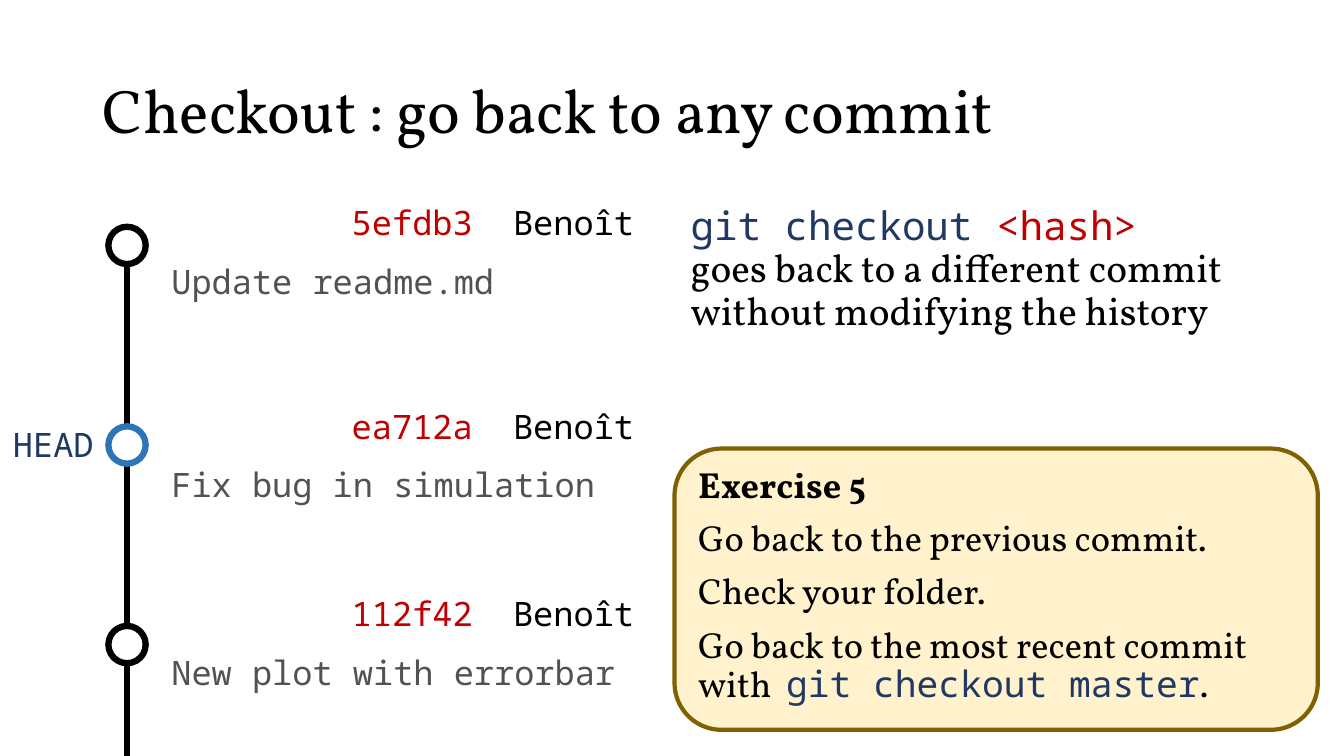
from pptx import Presentation
from pptx.dml.color import RGBColor
from pptx.enum import shapes as kinds, text as styles
from pptx.oxml.ns import qn
from pptx.util import Inches, Pt

COLORS = {
    "black": "000000", "navy": "203864", "red": "C00000", "gray": "525252",
    "blue": "2E75B6", "cream": "FFF2CC", "brown": "806000",
}
SERIF, MONO = "Vollkorn", "Noto Sans Mono"

AXIS, SIZE = 1.26, 0.37          # centre of the history line, width of a node
FIRST, STEP = 2.25, 1.98         # top of the first node, distance between nodes
COMMITS = [
    (2, "5efdb3", "Update readme.md", "black"),
    (4.02, "ea712a", "Fix bug in simulation", "blue"),
    (5.88, "112f42", "New plot with errorbar", "black"),
]


def rgb(name):
    return RGBColor.from_string(COLORS[name])


def place(shape, left, top, width, height):
    shape.left, shape.top = Inches(left), Inches(top)
    shape.width, shape.height = Inches(width), Inches(height)


def write(shape, paras, size=24, font=MONO, color="black", anchor="TOP", inset=0.1):
    """Fill a shape with paragraphs, each a list of (text, format changes) runs."""
    frame = shape.text_frame
    frame.word_wrap = True
    frame.auto_size = styles.MSO_AUTO_SIZE.NONE
    frame.vertical_anchor = styles.MSO_ANCHOR[anchor]
    frame.margin_left = frame.margin_right = Inches(inset)
    for i, runs in enumerate(paras):
        para = frame.add_paragraph() if i else frame.paragraphs[0]
        props = para._p.get_or_add_pPr()
        props.set("marL", "0")
        props.set("indent", "0")
        props.append(props.makeelement(qn("a:buNone"), {}))
        para.alignment = styles.PP_ALIGN.LEFT
        para.line_spacing = 0.9
        para.space_before = Pt(10 if i else 0)
        for words, look in runs:
            run = para.add_run()
            run.text = words
            run.font.size = Pt(size)
            run.font.name = look.get("font", font)
            run.font.bold = look.get("bold", False)
            run.font.color.rgb = rgb(look.get("color", color))


def add_label(parent, box, runs, **look):
    label = parent.shapes.add_textbox(*map(Inches, box))
    write(label, [runs], **look)


def add_node(slide, top, color):
    box = (AXIS - SIZE / 2, top, SIZE, SIZE)
    node = slide.shapes.add_shape(kinds.MSO_SHAPE.OVAL, *map(Inches, box))
    node.shadow.inherit = False
    node.fill.background()
    node.line.color.rgb = rgb(color)
    node.line.width = Pt(4.5)


def add_link(slide, top, end):
    ends = map(Inches, (AXIS, top, AXIS, end))
    link = slide.shapes.add_connector(kinds.MSO_CONNECTOR.STRAIGHT, *ends)
    link.line.color.rgb = rgb("black")
    link.line.width = Pt(4.5)
    props = link._element.spPr
    props.append(props.makeelement(qn("a:effectLst"), {}))


def add_commit(slide, top, code, note):
    group = slide.shapes.add_group_shape()
    add_label(group, (3.39, top, 3.11, 0.51),
              [(code, {"color": "red"}), ("  Benoît", {})])
    add_label(group, (1.7, top + 0.58, 4.67, 0.51), [(note, {})],
              color="gray", inset=0)


def add_task(slide):
    box = map(Inches, (6.69, 4.45, 6.38, 2.79))
    task = slide.shapes.add_shape(kinds.MSO_SHAPE.ROUNDED_RECTANGLE, *box)
    task.shadow.inherit = False
    task.fill.solid()
    task.fill.fore_color.rgb = rgb("cream")
    task.line.color.rgb = rgb("brown")
    task.line.width = Pt(3)
    write(task, [
        [("Exercise 5", {"bold": True})],
        [("Go back to the previous commit.", {})],
        [("Check your folder.", {})],
        [("Go back to the most recent commit with  ", {}),
         ("git checkout master", {"font": MONO, "color": "navy"}), (".", {})],
    ], size=25.9, font=SERIF)


def main():
    deck = Presentation()
    deck.slide_width, deck.slide_height = Inches(13.33), Inches(7.5)
    slide = deck.slides.add_slide(deck.slide_layouts[1])

    title, body = slide.shapes.title, slide.placeholders[1]
    place(title, 0.92, 0.4, 11.5, 1.45)
    write(title, [[("Checkout : go back to any commit", {})]],
          size=44, font=SERIF, anchor="MIDDLE")
    place(body, 6.75, 2, 5.51, 3.42)
    write(body, [[
        ("git checkout ", {"color": "navy"}),
        ("<hash> ", {"color": "red"}),
        ("goes back to a different commit without modifying the history",
         {"font": SERIF}),
    ]], size=28)

    for i, (top, code, note, color) in enumerate(COMMITS):
        node = FIRST + i * STEP
        add_link(slide, node + SIZE, min(node + STEP, 7.5))
        add_node(slide, node, color)
        add_commit(slide, top, code, note)
    add_label(slide, (0.03, 4.2, 1.15, 0.51), [("HEAD", {})], color="navy")
    add_task(slide)
    deck.save("out.pptx")


if __name__ == "__main__":
    main()
